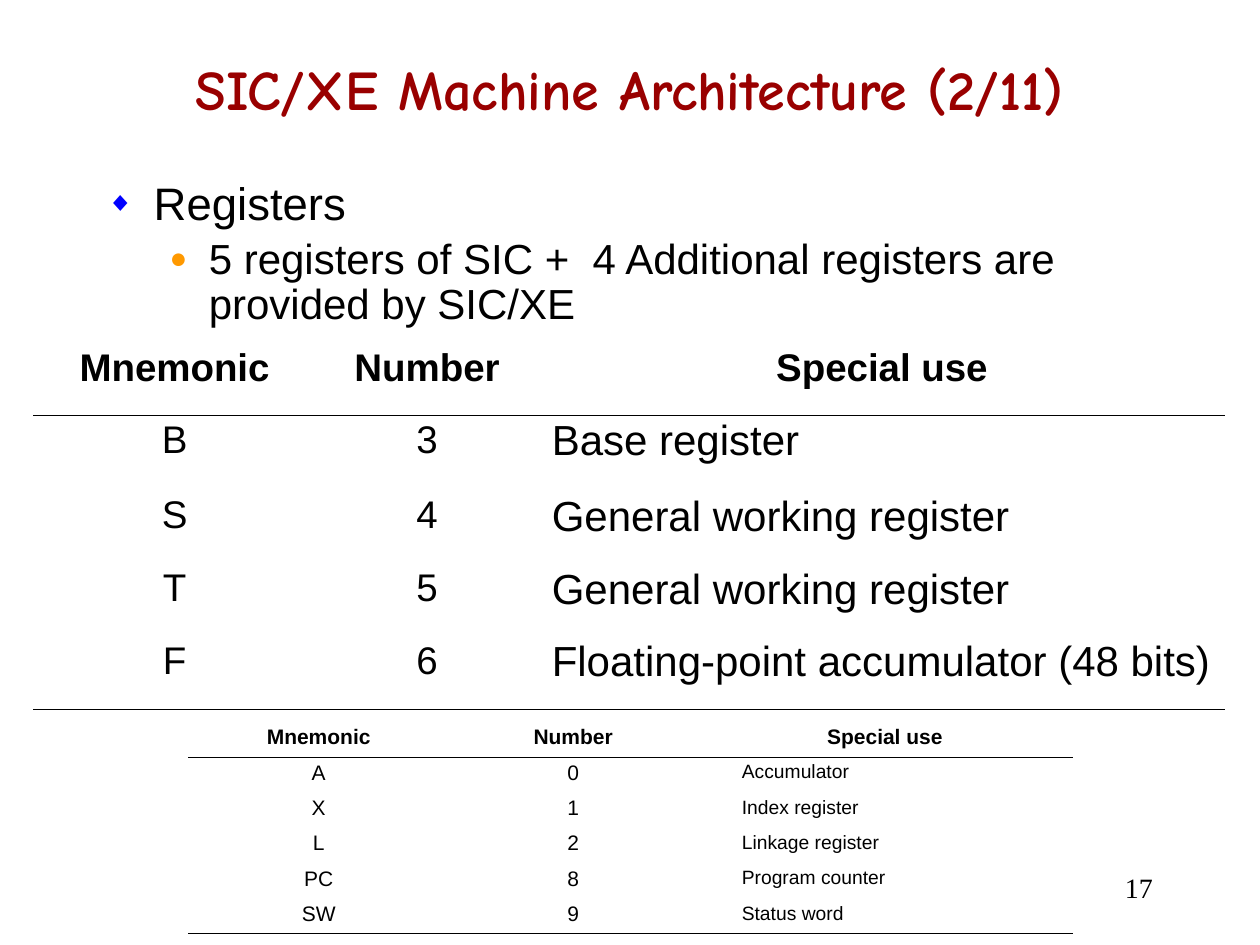
from lxml import etree
from pptx import Presentation
from pptx.dml.color import RGBColor
from pptx.enum import text as t
from pptx.oxml import ns
from pptx.util import Cm, Pt

CENTER, RIGHT = t.PP_ALIGN.CENTER, t.PP_ALIGN.RIGHT


def color(code):
    return RGBColor.from_string(code)


def node(parent, tag, **attrs):
    return etree.SubElement(parent, ns.qn(tag), attrs)


def write(para, words, font, **form):
    """Fill one paragraph and style it."""
    run = para.add_run()
    run.text = words
    look = {"name": "Arial", "bold": False, **font}
    run.font.color.rgb = color(look.pop("color", "000000"))
    for key, value in look.items():
        setattr(run.font, key, value)
    for key, value in form.items():
        setattr(para, key, value)


def frame(slide, box, anchor):
    tf = slide.shapes.add_textbox(*map(Cm, box)).text_frame
    tf.word_wrap = True
    tf.vertical_anchor = anchor
    return tf


def line(slide, box, words, font, align):
    """One line of text, centred vertically in its box."""
    tf = frame(slide, box, t.MSO_ANCHOR.MIDDLE)
    write(tf.paragraphs[0], words, font, alignment=align)


def bullets(slide, box, items):
    tf = frame(slide, box, t.MSO_ANCHOR.TOP)
    for i, (words, level, size, gap, left, hang, mark, tint, scale) in enumerate(items):
        para = tf.add_paragraph() if i else tf.paragraphs[0]
        write(para, words, {"size": Pt(size)},
              level=level, line_spacing=0.9, space_before=Pt(gap))
        props = para._p.get_or_add_pPr()
        props.set("marL", str(Cm(left)))
        props.set("indent", str(-Cm(hang)))
        node(node(props, "a:buClr"), "a:srgbClr", val=tint)
        node(props, "a:buSzPct", val=str(scale * 1000))
        node(props, "a:buFont", typeface="Arial")
        node(props, "a:buChar", char=mark)


def rule(cell, side):
    edge = node(cell._tc.get_or_add_tcPr(), side, w=str(Pt(0.45)))
    node(node(edge, "a:solidFill"), "a:srgbClr", val="000000")


def table(slide, spot, widths, heights, rows, main, use, pad=0):
    """Register table; main and use are (size, space before) pairs."""
    grid = slide.shapes.add_table(
        len(rows), len(widths), *map(Cm, (*spot, sum(widths), sum(heights)))).table
    grid.first_row = grid.horz_banding = False
    for col, width in zip(grid.columns, widths):
        col.width = Cm(width)
    for r, row in enumerate(rows):
        grid.rows[r].height = Cm(heights[r])
        for c, words in enumerate(row):
            cell = grid.cell(r, c)
            note = r > 0 and c == 2
            size, gap = use if note else main
            para = cell.text_frame.paragraphs[0]
            write(para, words, {"size": Pt(size), "bold": r == 0},
                  line_spacing=0.9, space_before=Pt(gap),
                  alignment=t.PP_ALIGN.LEFT if note else CENTER)
            if note:
                para._p.get_or_add_pPr().set("marL", str(Cm(pad)))
            # Rules below the header and the last row
            if r == 1:
                rule(cell, "a:lnT")
            if r in (0, len(rows) - 1):
                rule(cell, "a:lnB")
            cell.fill.background()


def main():
    deck = Presentation()
    deck.slide_width, deck.slide_height = Cm(25.4), Cm(19.05)
    slide = deck.slides.add_slide(deck.slide_layouts[6])
    head = ("Mnemonic", "Number", "Special use")

    # Page number and title
    line(slide, (20.75, 17.35, 2.74, 1.07), "17",
         {"name": "Times New Roman", "size": Pt(16)}, RIGHT)
    line(slide, (1.9, 0.64, 21.6, 2.29), "SIC/XE Machine Architecture (2/11)",
         {"name": "Comic Neue", "size": Pt(32), "bold": True, "color": "990000"}, CENTER)

    # Bullet text
    bullets(slide, (1.9, 3.53, 21.6, 13.74), [
        ("Registers", 0, 26, 4.9, 0.95, 0.95, "◆", "0000FF", 60),
        ("5 registers of SIC +  4 Additional registers are provided by SIC/XE",
         1, 24, 4.5, 2.06, 0.79, "●", "FF9900", 70),
    ])

    # Additional registers
    table(slide, (0.69, 6.93), (5.66, 4.52, 13.82), (1.45, 1.52, 1.47, 1.47, 1.45), [
        head,
        ("B", "3", "Base register"),
        ("S", "4", "General working register"),
        ("T", "5", "General working register"),
        ("F", "6", "Floating-point accumulator (48 bits)"),
    ], (22, 4.1), (24, 4.5))

    # Basic registers
    table(slide, (3.81, 14.55), (5.23, 5.03, 7.54), [0.71] * 6, [
        head,
        ("A", "0", "Accumulator"),
        ("X", "1", "Index register"),
        ("L", "2", "Linkage register"),
        ("PC", "8", "Program counter"),
        ("SW", "9", "Status word"),
    ], (12, 1.5), (11, 1.4), pad=0.63)

    deck.save("out.pptx")


if __name__ == "__main__":
    main()
